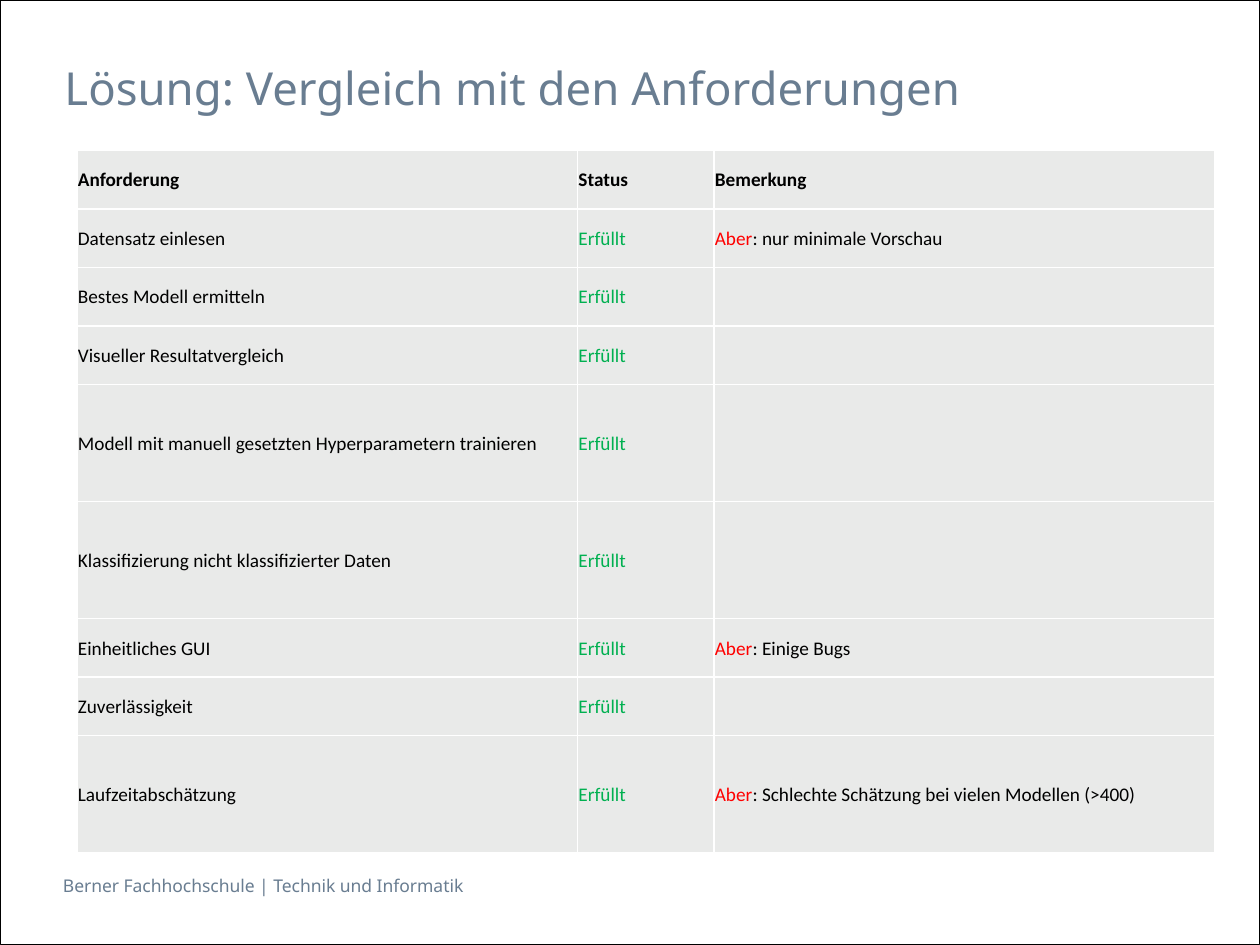
from pptx import Presentation
from pptx.dml.color import RGBColor
from pptx.enum.shapes import MSO_SHAPE
from pptx.enum.text import MSO_ANCHOR, MSO_AUTO_SIZE, PP_ALIGN
from pptx.oxml import parse_xml
from pptx.oxml.ns import nsdecls
from pptx.util import Cm, Pt

TITLE = "Lösung: Vergleich mit den Anforderungen"
FOOTER = "Berner Fachhochschule | Technik und Informatik"
HEADER = ("Anforderung", "Status", "Bemerkung")
STATUS, BUT = "Erfüllt", "Aber"
# requirement, remark, height in row units
REQUIREMENTS = [
    ("Datensatz einlesen", ": nur minimale Vorschau", 1),
    ("Bestes Modell ermitteln", "", 1),
    ("Visueller Resultatvergleich", "", 1),
    ("Modell mit manuell gesetzten Hyperparametern trainieren", "", 2),
    ("Klassifizierung nicht klassifizierter Daten", "", 2),
    ("Einheitliches GUI", ": Einige Bugs", 1),
    ("Zuverlässigkeit", "", 1),
    ("Laufzeitabschätzung", ": Schlechte Schätzung bei vielen Modellen (>400)", 2),
]
SLATE, BLACK, GREEN, RED = "697D91", "000000", "00B050", "FF0000"
CELL_FILL, BORDER = "E9EAE9", "FFFFFF"
COL_WIDTHS = (10.09, 2.75, 10.09)
ROW_UNIT = 1.18


def rgb(value):
    """Turn a hex string into a colour."""
    return RGBColor.from_string(value)


def set_font(font, name, size, color, bold=False):
    """Format a paragraph font."""
    font.name, font.size, font.bold = name, Pt(size), bold
    font.color.rgb = rgb(color)


def place_line(sp, box, text, size, anchor):
    """Place a shape and give it one left-aligned line of text."""
    sp.left, sp.top, sp.width, sp.height = map(Cm, box)
    tf = sp.text_frame
    tf.text = text
    tf.word_wrap, tf.auto_size, tf.vertical_anchor = True, MSO_AUTO_SIZE.NONE, anchor
    tf.margin_left = tf.margin_right = 0
    tf.margin_top = tf.margin_bottom = Cm(0.13)
    p = tf.paragraphs[0]
    p.alignment = PP_ALIGN.LEFT
    set_font(p.font, "Noto Sans", size, SLATE)


def fill_cell(cell, runs, bold=False):
    """Style a cell and write its (text, colour) runs."""
    tc_pr = cell._tc.get_or_add_tcPr()
    for side in ("lnL", "lnR", "lnT", "lnB"):
        tc_pr.append(parse_xml(
            f'<a:{side} {nsdecls("a")} w="{Pt(1)}"><a:solidFill>'
            f'<a:srgbClr val="{BORDER}"/></a:solidFill></a:{side}>'))
    cell.fill.solid()
    cell.fill.fore_color.rgb = rgb(CELL_FILL)
    cell.vertical_anchor = MSO_ANCHOR.MIDDLE
    cell.margin_left = cell.margin_right = cell.margin_top = Cm(0.02)
    cell.margin_bottom = 0
    p = cell.text_frame.paragraphs[0]
    set_font(p.font, "Calibri", 11, BLACK, bold)
    for text, color in runs:
        r = p.add_run()
        r.text = text
        set_font(r.font, "Calibri", 11, color, bold)


prs = Presentation()
prs.slide_width, prs.slide_height = Cm(25.4), Cm(19.05)
slide = prs.slides.add_slide(prs.slide_layouts[5])
shapes = slide.shapes

frame = shapes.add_shape(MSO_SHAPE.RECTANGLE, 0, 0, prs.slide_width, prs.slide_height)
frame.shadow.inherit = False
frame.fill.background()
frame.line.color.rgb = rgb(BLACK)
frame.line.width = Pt(0.5)

place_line(shapes.title, (1.3, 1, 22.5, 1.5), TITLE, 26, MSO_ANCHOR.MIDDLE)
place_line(shapes.add_textbox(0, 0, 0, 0), (1.27, 17.5, 18.57, 0.68), FOOTER, 10,
           MSO_ANCHOR.TOP)

rows = [([(text, BLACK)] for text in HEADER)]
for name, remark, _ in REQUIREMENTS:
    rows.append(([(name, BLACK)], [(STATUS, GREEN)],
                 [(BUT, RED), (remark, BLACK)] if remark else []))
heights = [ROW_UNIT] + [ROW_UNIT * units for *_, units in REQUIREMENTS]

table = shapes.add_table(len(rows), len(COL_WIDTHS), Cm(1.55), Cm(3.03),
                         Cm(sum(COL_WIDTHS)), Cm(sum(heights))).table
for col, width in zip(table.columns, COL_WIDTHS):
    col.width = Cm(width)
for i, (row, height) in enumerate(zip(table.rows, heights)):
    row.height = Cm(height)
    for cell, runs in zip(row.cells, rows[i]):
        fill_cell(cell, runs, bold=i == 0)

prs.save("out.pptx")
